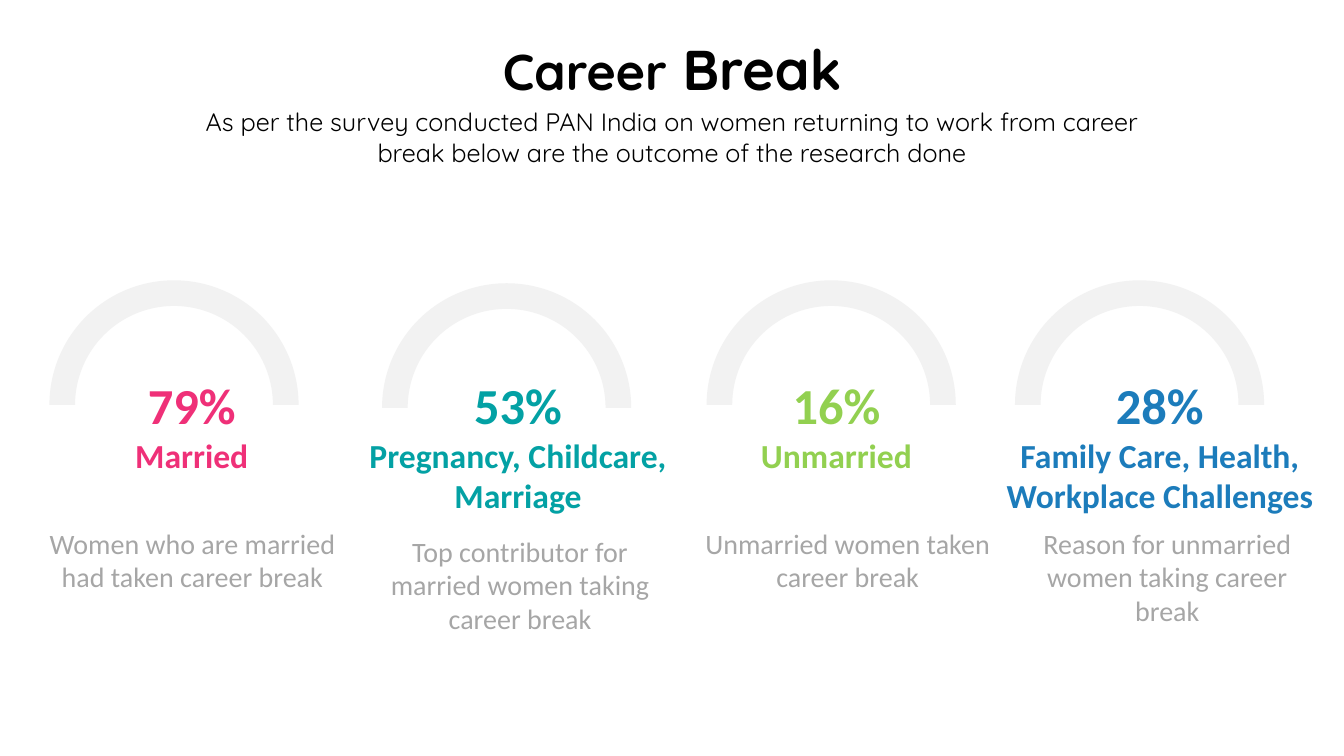
from dataclasses import dataclass
from pptx import Presentation
from pptx.dml.color import RGBColor
from pptx.enum import shapes, text
from pptx.util import Pt

TITLE = [("Career", 36), (" Break", 40)]
SUBTITLE = ("As per the survey conducted PAN India on women returning to work from career "
            "break below are the outcome of the research done")
FINDINGS = [
    {"share": "79%", "label": "Married", "note": "Women who are married had taken career break",
     "color": "EF3078", "ring": (35.3, 200.2), "center": 137, "note_at": (137.5, 372.2)},
    {"share": "53%", "label": "Pregnancy, Childcare, Marriage",
     "note": "Top contributor for married women taking career break",
     "color": "03A1A4", "ring": (272.9, 202.3), "center": 370, "note_at": (371.5, 378)},
    {"share": "16%", "label": "Unmarried", "note": "Unmarried women taken career break",
     "color": "92D050", "ring": (504.7, 200.2), "center": 597.5, "note_at": (605.5, 372.2)},
    {"share": "28%", "label": "Family Care, Health, Workplace Challenges",
     "note": "Reason for unmarried women taking career break",
     "color": "1C7CBB", "ring": (725, 200.2), "center": 828.5, "note_at": (833.8, 372.2)},
]


@dataclass(frozen=True)
class Theme:
    heading_font: str = "Quicksand"
    body_font: str = "Calibri"
    ink: str = "000000"
    note: str = "A6A6A6"
    ring: str = "F2F2F2"
    subtitle_size: int = 18
    share_size: int = 36
    label_size: int = 24
    note_size: int = 20


THEME = Theme()
RING_SIZE, RING_THICKNESS = 178, 0.103
SHARE_TOP, LABEL_TOP = 263.6, 306.8
SHARE_BOX, LABEL_BOX, NOTE_BOX = (95, 51), (244, 65), (227.5, 80)


def write(shape, runs, font, color, bold=False):
    frame = shape.text_frame
    frame.word_wrap = True
    frame.auto_size = text.MSO_AUTO_SIZE.NONE
    frame.vertical_anchor = text.MSO_ANCHOR.TOP
    paragraph = frame.paragraphs[0]
    paragraph.alignment = text.PP_ALIGN.CENTER
    for words, size in runs:
        run = paragraph.add_run()
        run.text = words
        run.font.name = font
        run.font.size = Pt(size)
        run.font.bold = bold
        run.font.color.rgb = RGBColor.from_string(color)


def add_text(slide, center, top, box, words, size, font, color, bold=False):
    width, height = box
    shape = slide.shapes.add_textbox(Pt(center - width / 2), Pt(top), Pt(width), Pt(height))
    write(shape, [(words, size)], font, color, bold)


def add_ring(slide, left, top):
    ring = slide.shapes.add_shape(shapes.MSO_SHAPE.BLOCK_ARC, Pt(left), Pt(top),
                                  Pt(RING_SIZE), Pt(RING_SIZE))
    ring.adjustments[2] = RING_THICKNESS
    ring.shadow.inherit = False
    ring.fill.solid()
    ring.fill.fore_color.rgb = RGBColor.from_string(THEME.ring)
    ring.line.fill.background()


def add_finding(slide, finding):
    add_ring(slide, *finding["ring"])
    center, color = finding["center"], finding["color"]
    add_text(slide, center, SHARE_TOP, SHARE_BOX, finding["share"],
             THEME.share_size, THEME.body_font, color, True)
    add_text(slide, center, LABEL_TOP, LABEL_BOX, finding["label"],
             THEME.label_size, THEME.body_font, color, True)
    add_text(slide, *finding["note_at"], NOTE_BOX, finding["note"],
             THEME.note_size, THEME.body_font, THEME.note)


def main():
    presentation = Presentation()
    presentation.slide_width, presentation.slide_height = Pt(960), Pt(540)
    slide = presentation.slides.add_slide(presentation.slide_layouts[5])
    title = slide.shapes.title
    title.left, title.top, title.width, title.height = Pt(193.7), Pt(20.9), Pt(573), Pt(55.7)
    write(title, TITLE, THEME.heading_font, THEME.ink, True)
    add_text(slide, 480, 72.7, (709, 51), SUBTITLE,
             THEME.subtitle_size, THEME.heading_font, THEME.ink)
    for finding in FINDINGS:
        add_finding(slide, finding)
    presentation.save("out.pptx")


if __name__ == "__main__":
    main()
